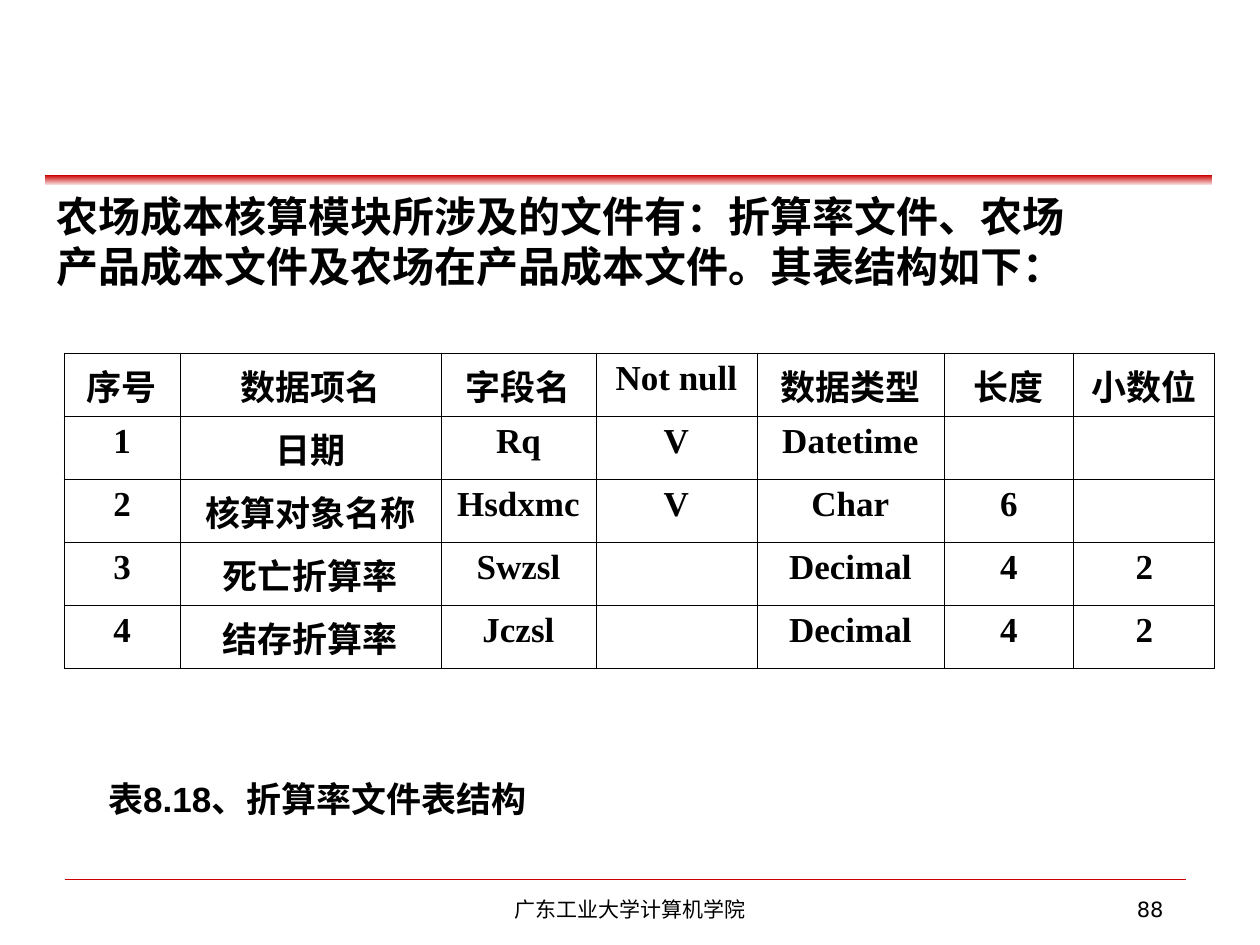
from lxml.etree import SubElement
from pptx import Presentation
from pptx.dml.color import RGBColor
from pptx.enum.shapes import MSO_CONNECTOR as Connector, MSO_SHAPE as Shape
from pptx.enum.text import MSO_ANCHOR as Anchor, PP_ALIGN as Align
from pptx.oxml.ns import qn
from pptx.util import Emu, Pt

EMU_PER_PX = 914400 / 126
COLORS = {"text": "000000", "border": "000000", "accent": "CC0000", "pale": "F7DFDF"}
SANS, SERIF, FOOTER = "Arial", "Times New Roman", "DejaVu Sans"

COLUMN_WIDTHS = [116, 261, 155, 161, 187, 130, 141]
ROW_HEIGHT = 63
FIELDS = [
    ["序号", "数据项名", "字段名", "Not null", "数据类型", "长度", "小数位"],
    ["1", "日期", "Rq", "V", "Datetime", "", ""],
    ["2", "核算对象名称", "Hsdxmc", "V", "Char", "6", ""],
    ["3", "死亡折算率", "Swzsl", "", "Decimal", "4", "2"],
    ["4", "结存折算率", "Jczsl", "", "Decimal", "4", "2"],
]


def px(length):
    return Emu(round(length * EMU_PER_PX))


def color(name):
    return RGBColor.from_string(COLORS[name])


def add_run(paragraph, text, size, font, bold):
    run = paragraph.add_run()
    run.text = text
    run.font.size = Pt(size)
    run.font.name = font
    run.font.bold = bold
    run.font.color.rgb = color("text")


def add_text(slide, box, text, size, font=SANS, bold=True, align=Align.LEFT,
             anchor=Anchor.TOP, wrap=True):
    frame = slide.shapes.add_textbox(*map(px, box)).text_frame
    frame.word_wrap = wrap
    frame.vertical_anchor = anchor
    paragraph = frame.paragraphs[0]
    paragraph.alignment = align
    add_run(paragraph, text, size, font, bold)


def add_gradient_bar(slide, box):
    bar = slide.shapes.add_shape(Shape.RECTANGLE, *map(px, box))
    bar.shadow.inherit = False
    bar.line.fill.background()
    bar.fill.gradient()
    bar.fill.gradient_angle = 90
    for stop, name in zip(bar.fill.gradient_stops, ("pale", "accent")):
        stop.color.rgb = color(name)


def add_rule(slide, left, right, y):
    rule = slide.shapes.add_connector(
        Connector.STRAIGHT, px(left), px(y), px(right), px(y))
    rule.line.color.rgb = color("accent")
    rule.line.width = Pt(0.25)
    SubElement(rule._element.spPr, qn("a:effectLst"))


def set_borders(cell):
    properties = cell._tc.get_or_add_tcPr()
    for side in ("lnL", "lnR", "lnT", "lnB"):
        line = SubElement(properties, qn(f"a:{side}"), w=str(Pt(0.45)))
        fill = SubElement(line, qn("a:solidFill"))
        SubElement(fill, qn("a:srgbClr"), val=COLORS["border"])


def add_field_table(slide, left, top):
    shape = slide.shapes.add_table(
        len(FIELDS), len(COLUMN_WIDTHS), px(left), px(top),
        px(sum(COLUMN_WIDTHS)), px(ROW_HEIGHT * len(FIELDS)))
    table = shape.table
    table.first_row = table.horz_banding = False
    for column, width in zip(table.columns, COLUMN_WIDTHS):
        column.width = px(width)
    for row, texts in zip(table.rows, FIELDS):
        row.height = px(ROW_HEIGHT)
        for cell, text in zip(row.cells, texts):
            set_borders(cell)
            cell.fill.background()
            paragraph = cell.text_frame.paragraphs[0]
            paragraph.alignment = Align.CENTER
            if text:
                # Latin entries are set in serif, Chinese ones in sans
                font = SERIF if text.isascii() else SANS
                add_run(paragraph, text, 20, font, True)


def main():
    presentation = Presentation()
    presentation.slide_width, presentation.slide_height = px(1260), px(945)
    slide = presentation.slides.add_slide(presentation.slide_layouts[6])

    # Header bar and footer rule
    add_gradient_bar(slide, (45, 175, 1167, 10))
    add_rule(slide, 65, 1186, 879)

    # Introduction, table and caption
    add_text(slide, (44, 184, 1057, 164),
             "农场成本核算模块所涉及的文件有：折算率文件、农场产品成本文件"
             "及农场在产品成本文件。其表结构如下：", 24)
    add_field_table(slide, 64, 353)
    add_text(slide, (87, 770, 461, 56), "表8.18、折算率文件表结构", 20,
             align=Align.CENTER, anchor=Anchor.MIDDLE, wrap=False)

    # Footer
    add_text(slide, (431, 890, 399, 37), "广东工业大学计算机学院", 12,
             FOOTER, False, Align.CENTER)
    add_text(slide, (903, 890, 273, 37), "88", 12, FOOTER, False, Align.RIGHT)

    presentation.save("out.pptx")


if __name__ == "__main__":
    main()
